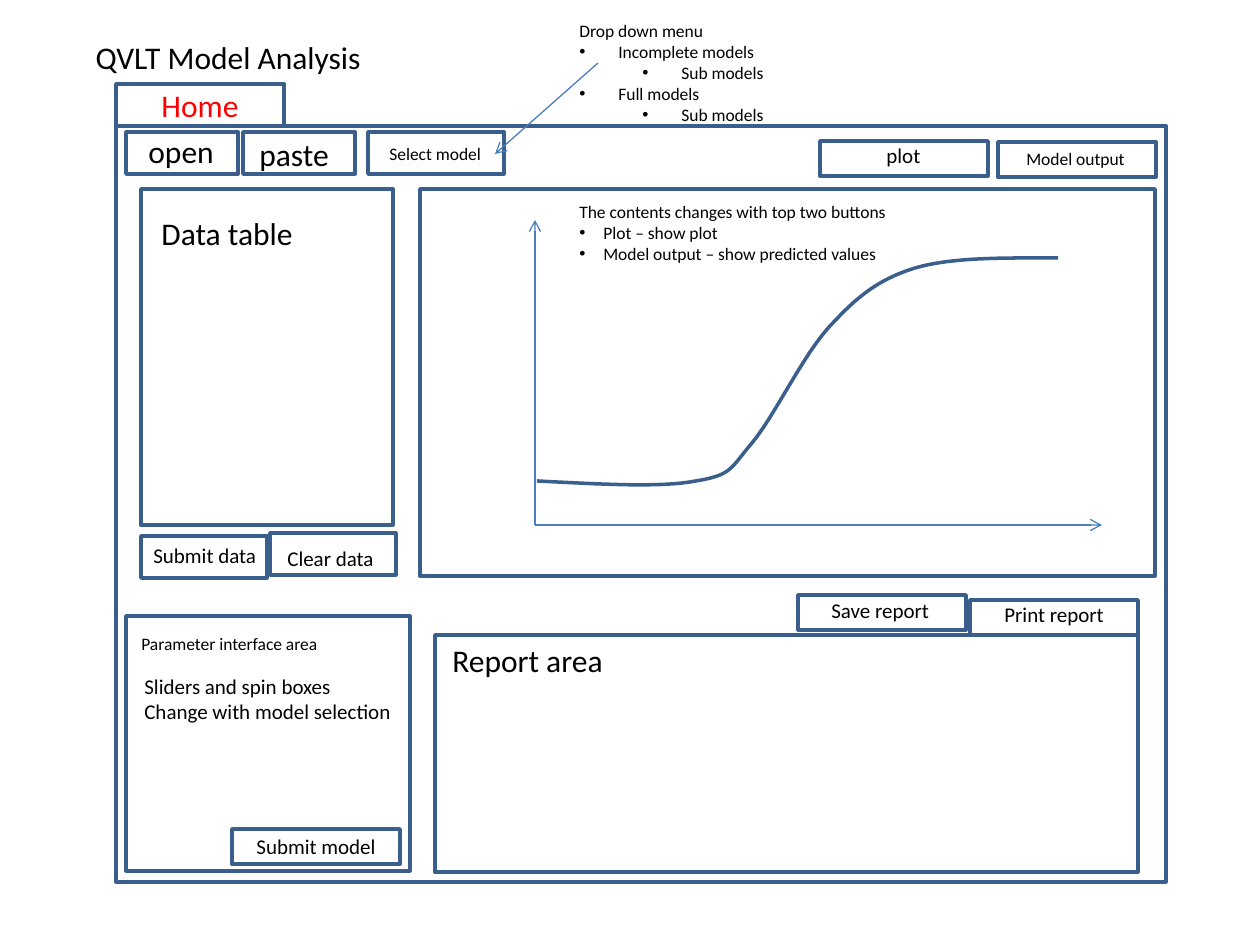
from lxml.etree import SubElement
from pptx import Presentation
from pptx.dml.color import RGBColor
from pptx.enum.shapes import MSO_CONNECTOR, MSO_SHAPE
from pptx.enum.text import MSO_ANCHOR, MSO_AUTO_SIZE, PP_ALIGN
from pptx.oxml.ns import qn
from pptx.util import Pt

SCALE = 914400 / 126  # EMU in one px
COLORS = {"outline": "3A5F8C", "arrow": "4B7EBC", "text": "000000", "home": "FF0000"}
FONT = "Calibri"

# Content: boxes are left, top, width, height in px
TITLE = ("QVLT Model Analysis", (83, 32, 296, 50))
HOME_TAB = ("Home", (116, 84, 168, 42))

FRAMES = [
    (116, 126, 1050, 756),  # window
    (141, 189, 252, 336),   # data table
    (420, 189, 735, 387),   # plot area
    (435, 635, 703, 237),   # report area
    (126, 616, 284, 255),   # parameter area
]

# Label, size in points, button box, label box
BUTTONS = [
    ("open", 18, (126, 132, 112, 42), (136, 126, 92, 50)),
    ("paste", 18, (243, 132, 112, 42), (247, 129, 96, 50)),
    ("Select model", 10, (368, 132, 136, 42), (377, 137, 118, 34)),
    ("plot", 12, (820, 141, 168, 35), (874, 136, 59, 38)),
    ("Model output", 10, (998, 142, 158, 35), (1014, 142, 125, 34)),
    ("Submit data", 12, (141, 536, 126, 42), (141, 536, 129, 38)),
    ("Clear data", 12, (270, 533, 126, 42), (275, 539, 112, 38)),
    ("Save report", 12, (798, 595, 168, 35), (819, 591, 123, 38)),
    ("Print report", 12, (970, 600, 168, 35), (992, 595, 126, 38)),
    ("Submit model", 12, (232, 829, 168, 35), (244, 827, 146, 38)),
]

# Size, box, lines; a line is its text and, if bulleted, (level, margin, hanging)
FIRST, SECOND, PLAIN = (0, 39, 39), (1, 102, 39), (0, 24, 24)
NOTES = [
    (18, (149, 208, 159, 50), [("Data table", None)]),
    (18, (440, 635, 178, 50), [("Report area", None)]),
    (10, (129, 627, 205, 34), [("Parameter interface area", None)]),
    (12, (132, 667, 275, 63), [
        ("Sliders and spin boxes", None),
        ("Change with model selection", None),
    ]),
    (10, (567, 14, 212, 118), [
        ("Drop down menu", None),
        ("Incomplete models", FIRST),
        ("Sub models", SECOND),
        ("Full models", FIRST),
        ("Sub models", SECOND),
    ]),
    (10, (567, 195, 338, 77), [
        ("The contents changes with top two buttons", None),
        ("Plot – show plot", PLAIN),
        ("Model output – show predicted values", PLAIN),
    ]),
]

ARROWS = [
    ((598, 63), (495, 154)),    # menu note to Select model
    ((535, 525), (1102, 525)),  # horizontal axis
    ((535, 525), (535, 220)),   # vertical axis
]

# Growth curve: a start, then two control points and an end for each piece
CURVE_START = (537, 481)
CURVE_PIECES = [
    ((598, 484), (660, 488), (696, 481)),
    ((732, 475), (730, 469), (752, 443)),
    ((774, 417), (803, 355), (830, 326)),
    ((857, 297), (877, 280), (915, 268)),
    ((953, 257), (1005, 258), (1058, 258)),
]
CURVE_STEPS = 16


def px(value):
    return round(value * SCALE)


def color(name):
    return RGBColor.from_string(COLORS[name])


def place(shape, box):
    shape.left, shape.top, shape.width, shape.height = map(px, box)


def outline(shape):
    shape.shadow.inherit = False
    shape.fill.background()
    shape.line.color.rgb = color("outline")
    shape.line.width = Pt(2)


def write(para, text, size, color_name="text"):
    span = para.add_run()
    span.text = text
    span.font.name = FONT
    span.font.size = Pt(size)
    span.font.color.rgb = color(color_name)


def add_frame(slide, box):
    frame = slide.shapes.add_shape(MSO_SHAPE.RECTANGLE, *map(px, box))
    outline(frame)
    return frame


def set_bullet(para, level, margin, hanging):
    para.level = level
    properties = para._p.get_or_add_pPr()
    properties.set("marL", str(px(margin)))
    properties.set("indent", str(-px(hanging)))
    SubElement(properties, qn("a:buFont")).set("typeface", "Arial")
    SubElement(properties, qn("a:buChar")).set("char", "•")


def add_note(slide, size, box, lines):
    frame = slide.shapes.add_textbox(*map(px, box)).text_frame
    frame.word_wrap = False
    frame.auto_size = MSO_AUTO_SIZE.SHAPE_TO_FIT_TEXT
    for index, (text, bullet) in enumerate(lines):
        para = frame.add_paragraph() if index else frame.paragraphs[0]
        if bullet:
            set_bullet(para, *bullet)
        write(para, text, size)


def add_arrow(slide, start, end):
    arrow = slide.shapes.add_connector(MSO_CONNECTOR.STRAIGHT, *map(px, start + end))
    arrow.line.color.rgb = color("arrow")
    arrow.line.width = Pt(0.75)
    SubElement(arrow.line._get_or_add_ln(), qn("a:tailEnd")).set("type", "arrow")
    SubElement(arrow._element.spPr, qn("a:effectLst"))


def bezier(points, t):
    weights = ((1 - t) ** 3, 3 * t * (1 - t) ** 2, 3 * t ** 2 * (1 - t), t ** 3)
    return tuple(px(sum(w * p[axis] for w, p in zip(weights, points))) for axis in (0, 1))


def add_curve(slide):
    builder = slide.shapes.build_freeform(*map(px, CURVE_START))
    start = CURVE_START
    for piece in CURVE_PIECES:
        steps = range(1, CURVE_STEPS + 1)
        builder.add_line_segments(
            [bezier((start, *piece), step / CURVE_STEPS) for step in steps], close=False)
        start = piece[-1]
    outline(builder.convert_to_shape())


def main():
    deck = Presentation()
    deck.slide_width, deck.slide_height = px(1260), px(945)
    slide = deck.slides.add_slide(deck.slide_layouts[5])

    # Title
    text, box = TITLE
    title = slide.shapes.title
    place(title, box)
    title.text_frame.word_wrap = False
    title.text_frame.vertical_anchor = MSO_ANCHOR.TOP
    title.text_frame.paragraphs[0].alignment = PP_ALIGN.LEFT
    write(title.text_frame.paragraphs[0], text, 18)

    # Window, panels and tab
    for box in FRAMES:
        add_frame(slide, box)
    text, box = HOME_TAB
    tab = add_frame(slide, box).text_frame
    tab.vertical_anchor = MSO_ANCHOR.MIDDLE
    tab.paragraphs[0].alignment = PP_ALIGN.CENTER
    write(tab.paragraphs[0], text, 18, "home")

    # Buttons and notes
    for text, size, box, label_box in BUTTONS:
        add_frame(slide, box)
        add_note(slide, size, label_box, [(text, None)])
    for note in NOTES:
        add_note(slide, *note)

    # Axes, pointer and curve
    for start, end in ARROWS:
        add_arrow(slide, start, end)
    add_curve(slide)

    deck.save("out.pptx")


if __name__ == "__main__":
    main()
